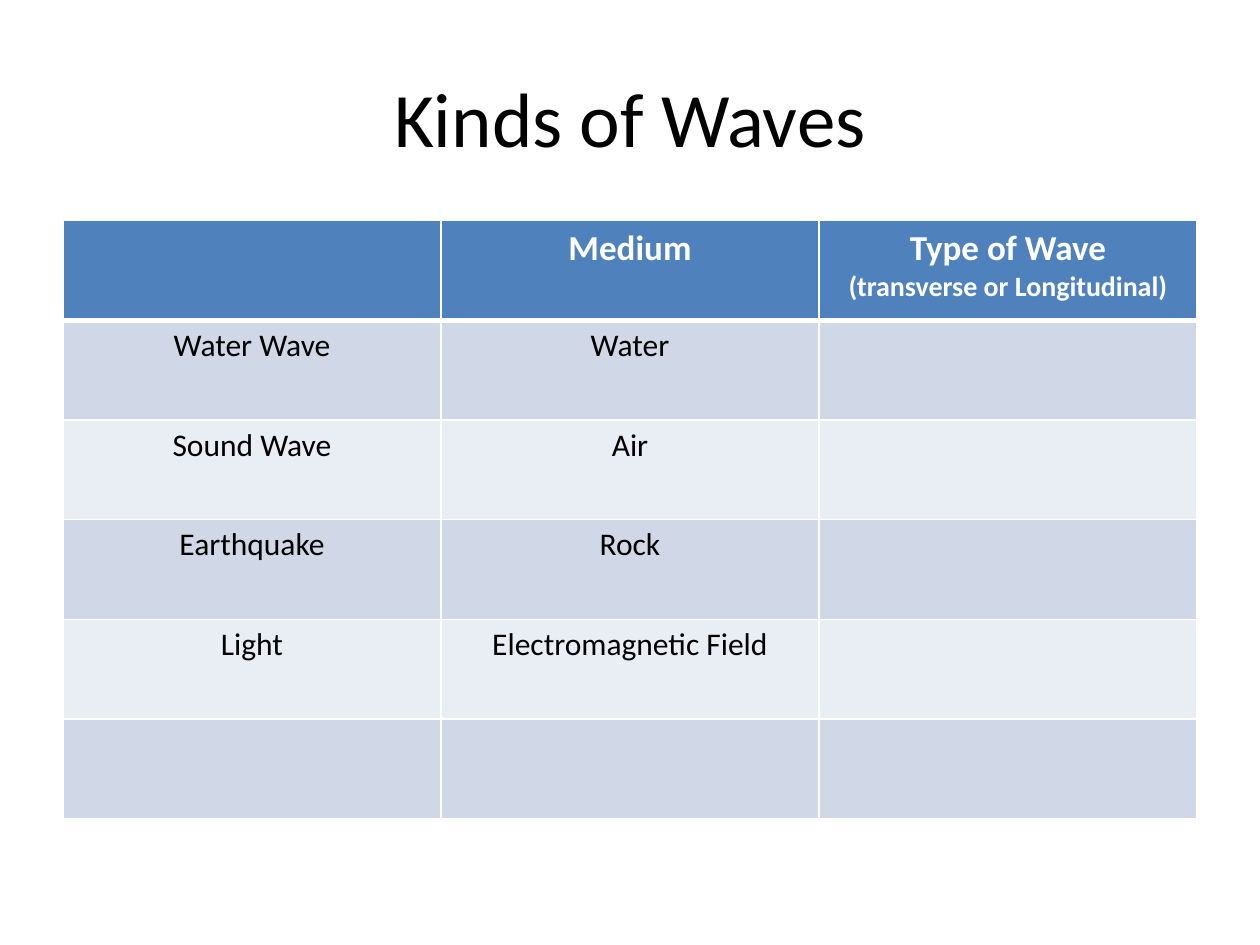
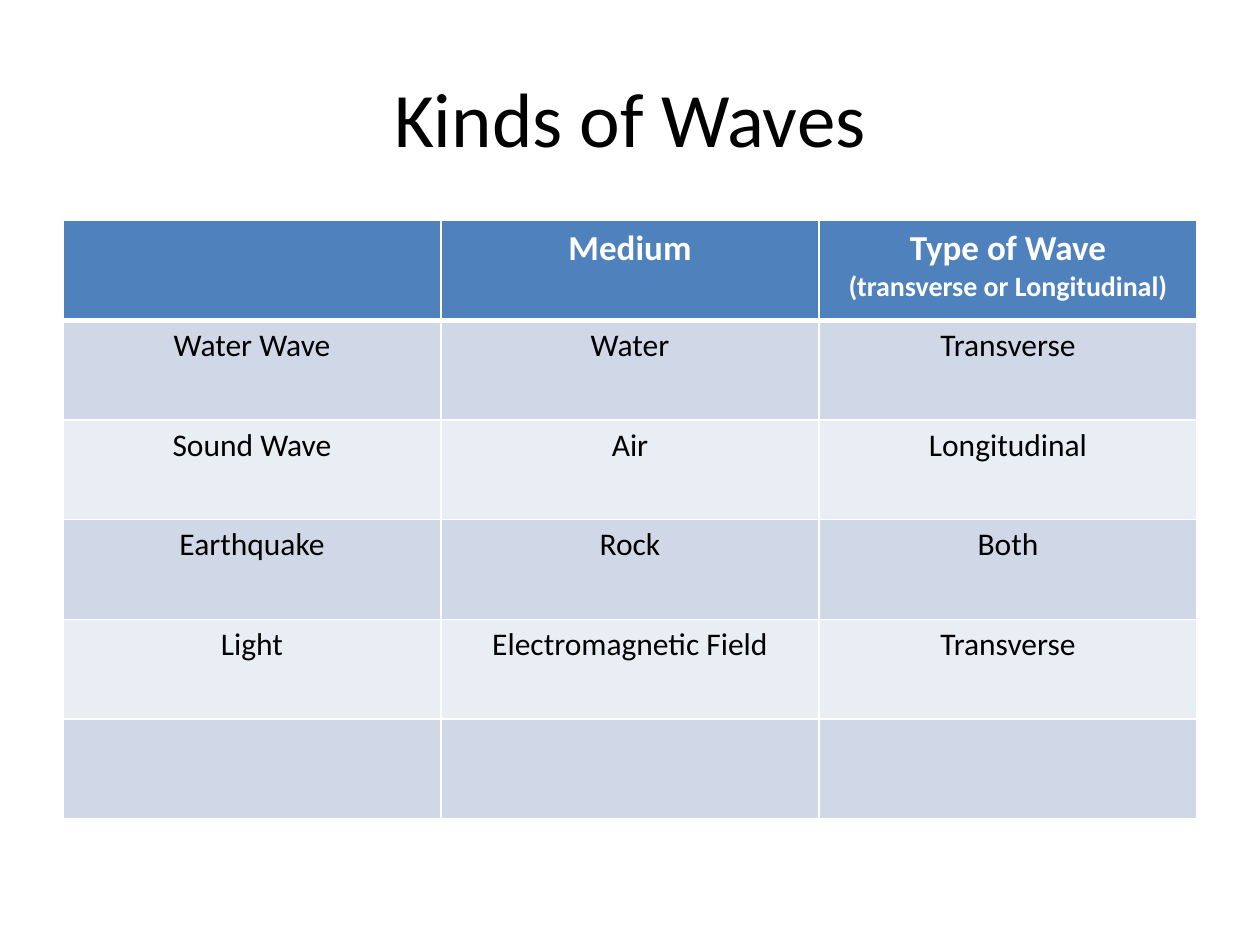
from dataclasses import dataclass
from lxml import etree
from pptx import Presentation, util as u
from pptx.dml.color import RGBColor
from pptx.enum import text as t
from pptx.oxml import ns


@dataclass(frozen=True)
class Theme:
    """Colours, font and type sizes of the deck."""
    font: str = "Calibri"
    ink: str = "000000"
    paper: str = "FFFFFF"
    head: str = "4F81BD"
    bands: tuple = ("D0D8E8", "E9EDF4")
    title: int = 44
    label: int = 20
    note: int = 16
    body: int = 18
    rule: int = 1
    thick: int = 3


LOOK = Theme()
WIDE, HIGH = u.Inches(10), u.Inches(7.5)
SIDE = 0.05
TITLE = "Kinds of Waves"
HEADS = ([], ["Medium"], ["Type of Wave", "(transverse or Longitudinal)"])
WAVES = (("Water Wave", "Water"), ("Sound Wave", "Air"),
         ("Earthquake", "Rock"), ("Light", "Electromagnetic Field"), ("", ""))
KINDS = ("Transverse", "Longitudinal", "Both", "Transverse", "")


def band(top, tall):
    """Return the box between the side margins, from shares of the height."""
    return [int(n) for n in (SIDE * WIDE, top * HIGH,
                             (1 - 2 * SIDE) * WIDE, tall * HIGH)]


def add_run(para, words, size, color, bold=False):
    """Add one styled run to a centred paragraph."""
    para.alignment = t.PP_ALIGN.CENTER
    run = para.add_run()
    run.text = words
    font = run.font
    font.name, font.size, font.bold = LOOK.font, u.Pt(size), bold
    font.color.rgb = RGBColor.from_string(color)


def add_title(slide, words):
    """Place and fill the title."""
    shape = slide.shapes.title
    shape.left, shape.top, shape.width, shape.height = band(0.04, 1 / 6)
    frame = shape.text_frame
    frame.vertical_anchor = t.MSO_ANCHOR.MIDDLE
    add_run(frame.paragraphs[0], words, LOOK.title, LOOK.ink)


def paint(cell, fill, top, base):
    """Give a cell its borders and then its fill."""
    props = cell._tc.get_or_add_tcPr()
    sides = {"L": LOOK.rule, "R": LOOK.rule, "T": top, "B": base}
    for side, width in sides.items():
        line = etree.SubElement(props, ns.qn(f"a:ln{side}"), w=str(u.Pt(width)))
        solid = etree.SubElement(line, ns.qn("a:solidFill"))
        etree.SubElement(solid, ns.qn("a:srgbClr"), val=LOOK.paper)
    cell.fill.solid()
    cell.fill.fore_color.rgb = RGBColor.from_string(fill)


def fill_head(cell, lines):
    """Write a column heading with an optional smaller second line."""
    paint(cell, LOOK.head, LOOK.rule, LOOK.thick)
    para = cell.text_frame.paragraphs[0]
    for i, (words, size) in enumerate(zip(lines, (LOOK.label, LOOK.note))):
        if i:
            para.add_line_break()
        add_run(para, words, size, LOOK.paper, True)


def fill_body(cell, words, row):
    """Write a cell of a banded body row."""
    top = LOOK.rule if row else LOOK.thick
    paint(cell, LOOK.bands[row % 2], top, LOOK.rule)
    if words:
        add_run(cell.text_frame.paragraphs[0], words, LOOK.body, LOOK.ink)


def add_grid(slide, heads, rows):
    """Add the table of waves with equal columns and rows."""
    box = band(7 / 30, 19 / 30)
    grid = slide.shapes.add_table(len(rows) + 1, len(heads), *box).table
    for col, lines in enumerate(heads):
        fill_head(grid.cell(0, col), lines)
    for row, items in enumerate(rows):
        for col, words in enumerate(items):
            fill_body(grid.cell(row + 1, col), words, row)


def add_page(deck, kinds):
    """Add a slide with the title and the table."""
    slide = deck.slides.add_slide(deck.slide_layouts.get_by_name("Title Only"))
    add_title(slide, TITLE)
    rows = [(*wave, kind) for wave, kind in zip(WAVES, kinds)]
    add_grid(slide, HEADS, rows)


def main():
    """Build the question slide and the answer slide."""
    deck = Presentation()
    deck.slide_width, deck.slide_height = WIDE, HIGH
    for kinds in ([""] * len(WAVES), KINDS):
        add_page(deck, kinds)
    deck.save("out.pptx")


if __name__ == "__main__":
    main()
